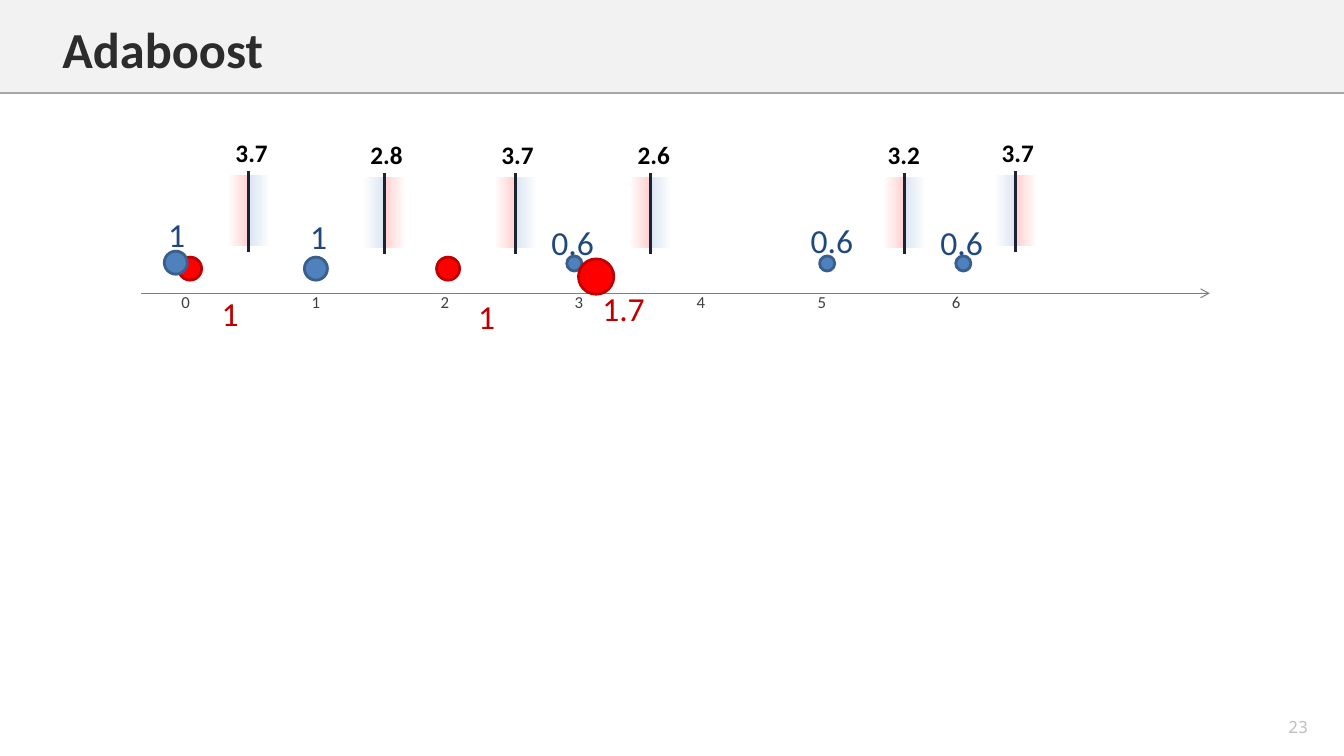
from lxml import etree
from pptx import Presentation
from pptx import util as u
from pptx.dml.color import RGBColor
from pptx.enum import shapes, text
from pptx.oxml import ns

BAND = RGBColor(0xF2, 0xF2, 0xF2)
BAND_EDGE = RGBColor(0xA6, 0xA6, 0xA6)
PAGE_GREY = RGBColor(0xBF, 0xBF, 0xBF)
TITLE_INK = RGBColor(0x2C, 0x2C, 0x2C)
AXIS = RGBColor(0x80, 0x80, 0x80)
TICK_INK = RGBColor(0x40, 0x40, 0x40)
RED = RGBColor(0xFF, 0x00, 0x00)
DARK_RED = RGBColor(0xC0, 0x00, 0x00)
BLUE = RGBColor(0x4F, 0x81, 0xBD)
BLUE_EDGE = RGBColor(0x3A, 0x5F, 0x8C)
NAVY = RGBColor(0x1F, 0x49, 0x7D)
PINK_WASH = RGBColor(0xFF, 0xD1, 0xD1)
BLUE_WASH = RGBColor(0xDC, 0xE6, 0xF2)
STUMP_INK = RGBColor(0x1C, 0x22, 0x32)
WHITE = RGBColor(0xFF, 0xFF, 0xFF)
BLACK = RGBColor(0, 0, 0)

# Samples: centre x, centre y, diameter (cm), fill, edge
SAMPLES = [
    (11.29, 6.77, 0.58, RED, DARK_RED),
    (4.79, 6.77, 0.58, RED, DARK_RED),
    (7.96, 6.77, 0.58, BLUE, BLUE_EDGE),
    (14.47, 6.64, 0.38, BLUE, BLUE_EDGE),
    (20.84, 6.64, 0.38, BLUE, BLUE_EDGE),
    (24.27, 6.64, 0.38, BLUE, BLUE_EDGE),
    (15.02, 6.97, 0.89, RED, DARK_RED),
    (4.43, 6.62, 0.58, BLUE, BLUE_EDGE),
]
# Sample weights: label, centre x, top (cm), colour
WEIGHTS = [
    ("1.7", 15.71, 7.14, DARK_RED),
    ("0.6", 20.96, 5.44, NAVY),
    ("1", 12.26, 7.34, DARK_RED),
    ("1", 5.8, 7.26, DARK_RED),
    ("0.6", 24.23, 5.49, NAVY),
    ("0.6", 14.43, 5.49, NAVY),
    ("1", 8.03, 5.33, NAVY),
    ("1", 4.45, 5.28, NAVY),
]
# Decision stumps: error, line x, label centre x, line top (cm), left and right wash
STUMPS = [
    ("2.8", 9.68, 9.74, 4.37, BLUE_WASH, PINK_WASH),
    ("3.7", 12.98, 13.04, 4.37, PINK_WASH, BLUE_WASH),
    ("2.6", 16.38, 16.47, 4.37, PINK_WASH, BLUE_WASH),
    ("3.2", 22.78, 22.77, 4.37, PINK_WASH, BLUE_WASH),
    ("3.7", 25.58, 25.64, 4.32, BLUE_WASH, PINK_WASH),
    ("3.7", 6.27, 6.34, 4.32, PINK_WASH, BLUE_WASH),
]
TICK_STOPS = [3.28, 6.53, 9.91, 12.98, 16.03, 19.41]


def set_font(font, color, **formats):
    for name, value in {"name": "Calibri", **formats}.items():
        setattr(font, name, value)
    font.color.rgb = color


def add_label(slide, words, box, size, color, align=text.PP_ALIGN.CENTER, **formats):
    frame = slide.shapes.add_textbox(*map(u.Cm, box)).text_frame
    frame.word_wrap = True
    frame.vertical_anchor = text.MSO_ANCHOR.MIDDLE
    paragraph = frame.paragraphs[0]
    paragraph.alignment = align
    run = paragraph.add_run()
    run.text = words
    set_font(run.font, color, size=u.Pt(size), **formats)
    return paragraph


def add_line(slide, start, end, color, width, arrow=False):
    line = slide.shapes.add_connector(
        shapes.MSO_CONNECTOR.STRAIGHT, *map(u.Cm, start + end))
    line.line.color.rgb = color
    line.line.width = u.Pt(width)
    if arrow:
        outline = line.line._get_or_add_ln()
        etree.SubElement(outline, ns.qn("a:tailEnd"), type="arrow")
    etree.SubElement(line.element.spPr, ns.qn("a:effectLst"))


def add_centred(slide, kind, x, y, width, height):
    shape = slide.shapes.add_shape(
        kind, u.Cm(x - width / 2), u.Cm(y - height / 2), u.Cm(width), u.Cm(height))
    shape.shadow.inherit = False
    return shape


def add_sample(slide, x, y, diameter, fill, edge):
    dot = add_centred(
        slide, shapes.MSO_SHAPE.FLOWCHART_CONNECTOR, x, y, diameter, diameter)
    dot.fill.solid()
    dot.fill.fore_color.rgb = fill
    dot.line.color.rgb = edge
    dot.line.width = u.Pt(2)


def add_wash(slide, x, y, rotation, color):
    wash = add_centred(slide, shapes.MSO_SHAPE.RECTANGLE, x, y, 1.79, 0.54)
    wash.rotation = rotation
    wash.line.fill.background()
    wash.fill.gradient()
    wash.fill.gradient_angle = 270
    for stop, position, shade in zip(
            wash.fill.gradient_stops, (0, 0.98), (WHITE, color)):
        stop.position = position
        stop.color.rgb = shade


def add_stump(slide, error, x, label_x, top, left_wash, right_wash):
    add_wash(slide, x + 0.28, top + 0.98, 90, right_wash)
    add_wash(slide, x - 0.27, top + 0.98, 270, left_wash)
    add_line(slide, (x, top), (x, top + 2.03), STUMP_INK, 2.25)
    add_label(slide, error, (label_x - 0.8, top - 0.96, 1.6, 0.94), 18, BLACK, bold=True)


def add_axis_ticks(slide):
    ticks = add_label(slide, "\t".join(map(str, range(7))),
                      (4.32, 7.14, 24.82, 0.94), 12, TICK_INK, text.PP_ALIGN.LEFT)
    tabs = etree.SubElement(ticks._p.get_or_add_pPr(), ns.qn("a:tabLst"))
    for stop in TICK_STOPS:
        etree.SubElement(tabs, ns.qn("a:tab"), pos=str(u.Cm(stop)), algn="l")


def add_header(slide):
    band = add_centred(slide, shapes.MSO_SHAPE.RECTANGLE, 16.93, 1.17, 33.86, 2.34)
    band.fill.solid()
    band.fill.fore_color.rgb = BAND
    band.line.fill.background()
    add_line(slide, (0, 2.34), (33.86, 2.34), BAND_EDGE, 1)


def place_title(slide, words):
    title = slide.shapes.title
    for side, value in {"left": 1.32, "top": 0.33, "width": 30.2, "height": 1.8}.items():
        setattr(title, side, u.Cm(value))
    frame = title.text_frame
    frame.text = words
    frame.vertical_anchor = text.MSO_ANCHOR.TOP
    frame.auto_size = text.MSO_AUTO_SIZE.SHAPE_TO_FIT_TEXT
    frame.paragraphs[0].alignment = text.PP_ALIGN.LEFT
    set_font(frame.paragraphs[0].runs[0].font, TITLE_INK, size=u.Pt(36), bold=True)
    # Bring the title in front of the header band
    title.element.getparent().append(title.element)


def main():
    deck = Presentation()
    deck.slide_width, deck.slide_height = u.Cm(33.86), u.Cm(19.05)
    slide = deck.slides.add_slide(deck.slide_layouts[5])

    # Header and page number
    add_header(slide)
    add_label(slide, "23", (31.6, 17.93, 2.21, 0.79), 12, PAGE_GREY, name="Noto Sans Mono")

    # Axis with weighted samples
    add_line(slide, (3.56, 7.39), (30.48, 7.39), AXIS, 0.75, arrow=True)
    for sample in SAMPLES:
        add_sample(slide, *sample)
    add_axis_ticks(slide)
    for weight, x, top, color in WEIGHTS:
        add_label(slide, weight, (x - 1, top, 2, 1.24), 24, color)

    # Candidate stumps with their errors
    for stump in STUMPS:
        add_stump(slide, *stump)

    place_title(slide, "Adaboost")
    deck.save("out.pptx")


if __name__ == "__main__":
    main()
